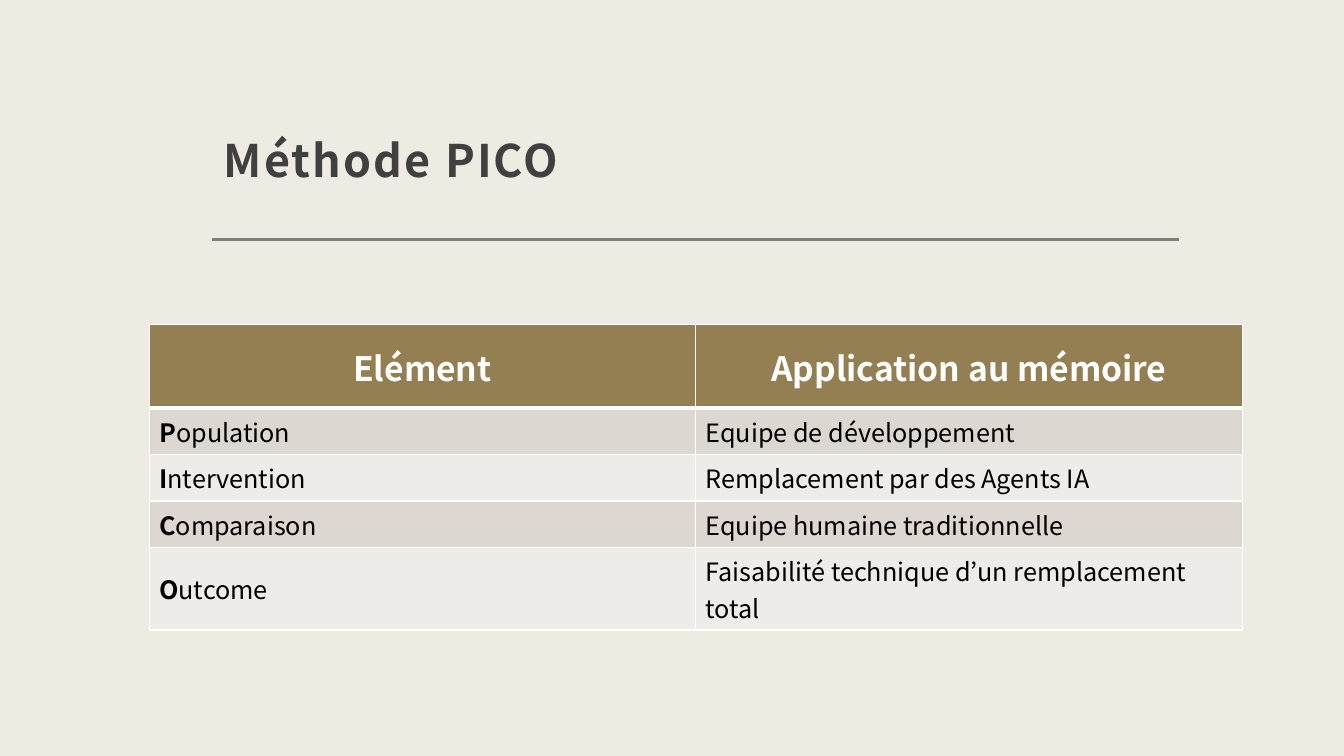
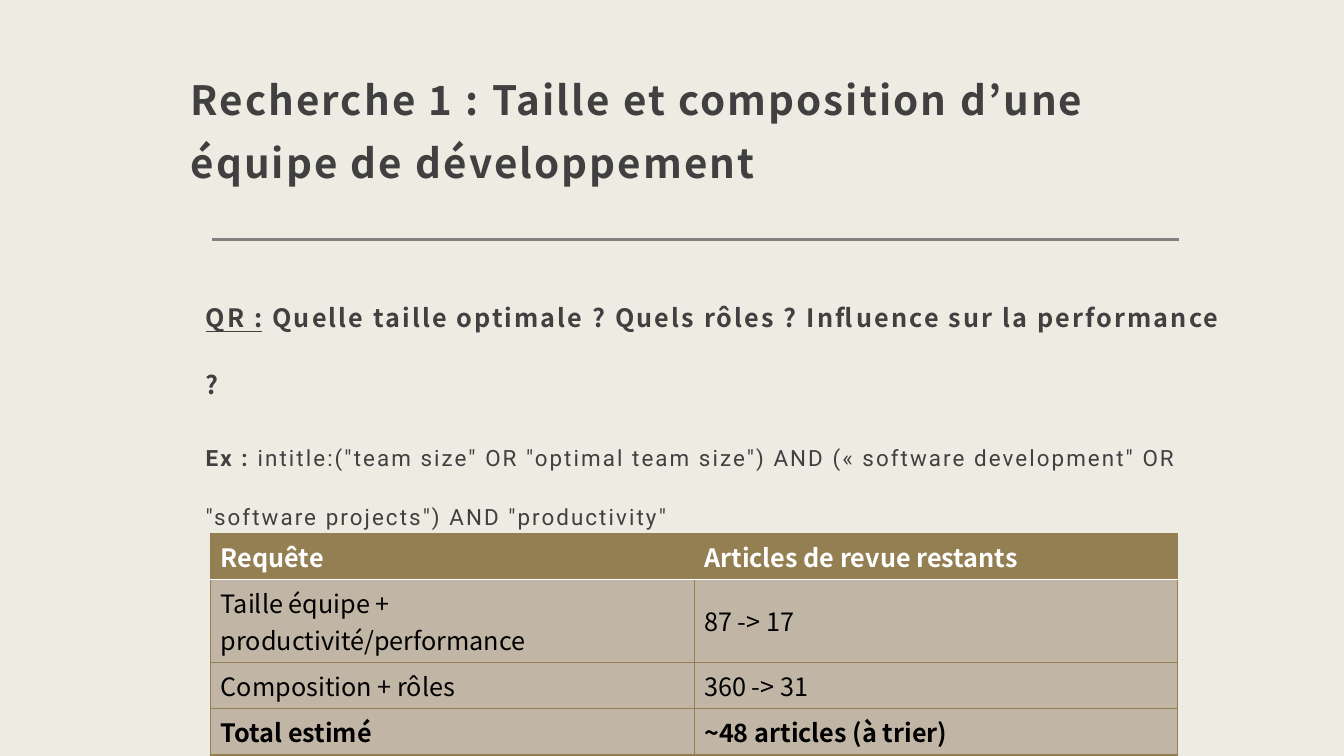
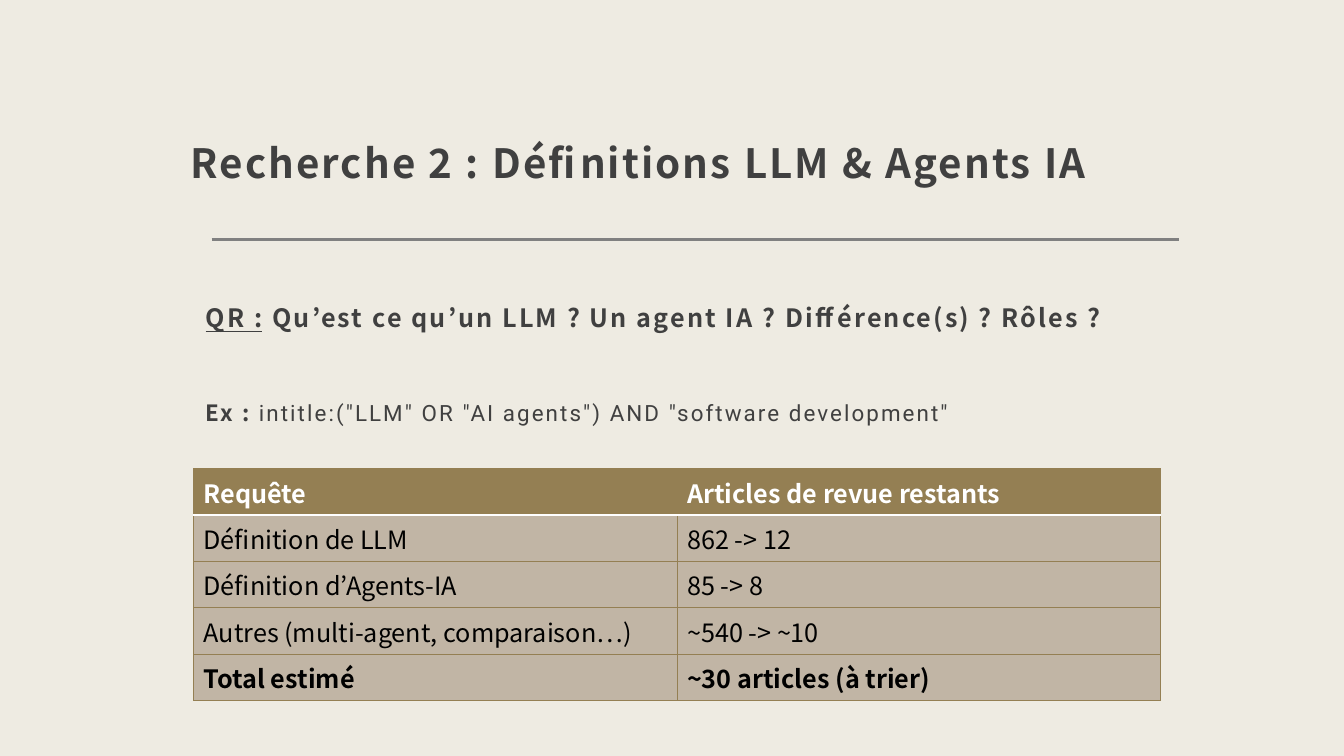
from lxml import etree
from pptx import Presentation
from pptx.dml.color import RGBColor
from pptx.enum.shapes import MSO_CONNECTOR
from pptx.enum.text import MSO_ANCHOR, PP_ALIGN
from pptx.oxml.ns import qn
from pptx.util import Inches, Pt

STRAIGHT = MSO_CONNECTOR.STRAIGHT
TOP, MIDDLE, BOTTOM = MSO_ANCHOR.TOP, MSO_ANCHOR.MIDDLE, MSO_ANCHOR.BOTTOM
LEFT, CENTER = PP_ALIGN.LEFT, PP_ALIGN.CENTER

CREAM = RGBColor(0xEE, 0xEB, 0xE2)
GRAY = RGBColor(0x80, 0x80, 0x80)
INK = RGBColor(0x40, 0x40, 0x40)
BLACK = RGBColor(0x00, 0x00, 0x00)
WHITE = RGBColor(0xFF, 0xFF, 0xFF)
BRONZE = RGBColor(0x94, 0x7F, 0x53)
TAUPE = RGBColor(0xC1, 0xB5, 0xA5)
BAND_DARK = RGBColor(0xDC, 0xD8, 0xD1)
BAND_LIGHT = RGBColor(0xEE, 0xEC, 0xE9)

SANS = "Noto Sans CJK JP"
ROBOTO = "Roboto"
LETTER_SPACING = "150"
CELL_LINE_HEIGHT = 0.36
CELL_PADDING = 0.1

TITLE = {"name": SANS, "bold": True}
QUESTION = {"name": SANS, "size": Pt(18), "bold": True}
EXAMPLE = {"name": ROBOTO, "size": Pt(16), "bold": False}
CELL = {"name": SANS, "size": Pt(18), "bold": False}

# Table looks: header rule is (colour, width), total_width frames a closing row
PICO_LOOK = {
    "header_size": 24, "header_height": 0.83, "header_align": CENTER,
    "bands": (BAND_DARK, BAND_LIGHT), "grid": (WHITE, 1),
    "header_rule": (WHITE, 3), "total_width": None,
}
SEARCH_LOOK = {
    "header_size": 18, "header_height": CELL_LINE_HEIGHT + CELL_PADDING,
    "header_align": LEFT,
    "bands": (TAUPE,), "grid": (BRONZE, 0.75),
    "header_rule": (WHITE, 1), "total_width": 1,
}

SEARCH_HEADER = ("Requête", "Articles de revue restants")
SEARCH_TITLE = {"title_box": (1.77, 0.48, 10.23, 1.47), "title_size": 28.8}

# body_lines counts the text lines in each table row below the header
SLIDES = [
    {
        "title": "Méthode PICO",
        "title_box": (2.1, 0.48, 9.59, 1.47),
        "title_size": 32,
        "table_box": (1.48, 3.22, 10.84),
        "look": PICO_LOOK,
        "body_lines": (1, 1, 1, 2),
        "rows": [
            ("Elément", "Application au mémoire"),
            ("Population", "Equipe de développement"),
            ("Intervention", "Remplacement par des Agents IA"),
            ("Comparaison", "Equipe humaine traditionnelle"),
            ("Outcome", "Faisabilité technique d’un remplacement total"),
        ],
    },
    {
        **SEARCH_TITLE,
        "title": "Recherche 1 : Taille et composition d’une équipe de développement",
        "question": " Quelle taille optimale ? Quels rôles ? Influence sur la performance ?",
        "example": 'intitle:("team size" OR "optimal team size") AND '
                   '(« software development" OR "software projects") AND "productivity"',
        "example_label_font": ROBOTO,
        "example_spacing": 2.2,
        "table_box": (2.09, 5.29, 9.59),
        "look": SEARCH_LOOK,
        "body_lines": (2, 1, 1),
        "rows": [
            SEARCH_HEADER,
            ("Taille équipe + productivité/performance", "87 -> 17"),
            ("Composition + rôles", "360 -> 31"),
            ("Total estimé", "~48 articles (à trier)"),
        ],
    },
    {
        **SEARCH_TITLE,
        "title": "Recherche 2 : Définitions LLM & Agents IA",
        "question": " Qu’est ce qu’un LLM ? Un agent IA ? Différence(s) ? Rôles ?",
        "example": 'intitle:("LLM" OR "AI agents") AND "software development"',
        "example_label_font": SANS,
        "example_spacing": 3.0,
        "table_box": (1.92, 4.65, 9.59),
        "look": SEARCH_LOOK,
        "body_lines": (1, 1, 1, 1),
        "rows": [
            SEARCH_HEADER,
            ("Définition de LLM", "862 -> 12"),
            ("Définition d’Agents-IA", "85 -> 8"),
            ("Autres (multi-agent, comparaison…)", "~540 -> ~10"),
            ("Total estimé", "~30 articles (à trier)"),
        ],
    },
]


def set_attributes(target, values):
    for name, value in values.items():
        setattr(target, name, value)


def add_run(paragraph, text, font, color):
    run = paragraph.add_run()
    run.text = text
    set_attributes(run.font, font)
    run.font.color.rgb = color
    return run


def add_text(slide, box, anchor, paragraphs):
    """Each paragraph is (format values, [(text, font values), ...])."""
    shape = slide.shapes.add_textbox(*map(Inches, box))
    frame = shape.text_frame
    set_attributes(frame, {
        "word_wrap": True, "vertical_anchor": anchor,
        "margin_left": Inches(0.12), "margin_right": Inches(0.12),
        "margin_top": Inches(0.12), "margin_bottom": Inches(0.1),
    })
    for index, (layout, runs) in enumerate(paragraphs):
        paragraph = frame.add_paragraph() if index else frame.paragraphs[0]
        set_attributes(paragraph, layout)
        for text, font in runs:
            run = add_run(paragraph, text, font, INK)
            run.font._element.set("spc", LETTER_SPACING)


def add_title_rule(slide):
    rule = slide.shapes.add_connector(
        STRAIGHT, Inches(2.1), Inches(2.38), Inches(11.69), Inches(2.38))
    rule.line.color.rgb = GRAY
    rule.line.width = Pt(2)
    etree.SubElement(rule._element.spPr, qn("a:effectLst"))


def add_title(slide, content):
    font = {**TITLE, "size": Pt(content["title_size"])}
    add_text(slide, content["title_box"], BOTTOM,
             [({"line_spacing": 1.3}, [(content["title"], font)])])


def add_research_question(slide, content):
    label = {**EXAMPLE, "bold": True, "name": content["example_label_font"]}
    before = Pt(9.3)
    add_text(slide, (1.92, 2.52, 10.39, 4.78), TOP, [
        ({"line_spacing": 2.2, "space_before": before},
         [("QR :", {**QUESTION, "underline": True}), (content["question"], QUESTION)]),
        ({"line_spacing": content["example_spacing"], "space_before": before},
         [("Ex : ", label), (content["example"], EXAMPLE)]),
    ])


def set_borders(cell, sides):
    """Sides maps L, R, T and B, in that order, to (colour, width)."""
    properties = cell._tc.get_or_add_tcPr()
    for side, (color, width) in sides.items():
        line = etree.SubElement(properties, qn(f"a:ln{side}"), w=str(Pt(width)))
        fill = etree.SubElement(line, qn("a:solidFill"))
        etree.SubElement(fill, qn("a:srgbClr"), val=str(color))


def horizontal_rules(look, row_count):
    rules = [look["grid"]] * (row_count + 1)
    rules[1] = look["header_rule"]
    if look["total_width"]:
        rules[-2:] = [(look["grid"][0], look["total_width"])] * 2
    return rules


def cell_runs(text, row, column, look, is_total):
    if row == 0:
        return [(text, {**CELL, "size": Pt(look["header_size"]), "bold": True}, WHITE)]
    bold = {**CELL, "bold": True}
    if is_total:
        return [(text, bold, BLACK)]
    if look is PICO_LOOK and column == 0:
        return [(text[0], bold, BLACK), (text[1:], CELL, BLACK)]
    return [(text, CELL, BLACK)]


def add_content_table(slide, content):
    rows, look = content["rows"], content["look"]
    left, top, width = content["table_box"]
    heights = [look["header_height"]]
    heights += [lines * CELL_LINE_HEIGHT + CELL_PADDING for lines in content["body_lines"]]
    table = slide.shapes.add_table(
        len(rows), len(rows[0]), *map(Inches, (left, top, width, sum(heights)))).table
    set_attributes(table, {"first_row": False, "horz_banding": False})
    rules = horizontal_rules(look, len(rows))
    bands = look["bands"]
    for row, texts in enumerate(rows):
        is_header = row == 0
        is_total = bool(look["total_width"]) and row == len(rows) - 1
        table.rows[row].height = Inches(heights[row])
        for column, text in enumerate(texts):
            cell = table.cell(row, column)
            set_borders(cell, {"L": look["grid"], "R": look["grid"],
                               "T": rules[row], "B": rules[row + 1]})
            cell.fill.solid()
            cell.fill.fore_color.rgb = BRONZE if is_header else bands[(row - 1) % len(bands)]
            cell.vertical_anchor = MIDDLE
            paragraph = cell.text_frame.paragraphs[0]
            paragraph.alignment = look["header_align"] if is_header else LEFT
            for run in cell_runs(text, row, column, look, is_total):
                add_run(paragraph, *run)


def main():
    presentation = Presentation()
    presentation.slide_width = Inches(13.33)
    presentation.slide_height = Inches(7.5)
    background = presentation.slide_master.background.fill
    background.solid()
    background.fore_color.rgb = CREAM
    blank = presentation.slide_layouts[6]
    for content in SLIDES:
        slide = presentation.slides.add_slide(blank)
        add_title_rule(slide)
        add_title(slide, content)
        if "question" in content:
            add_research_question(slide, content)
        add_content_table(slide, content)
    presentation.save("out.pptx")


if __name__ == "__main__":
    main()
